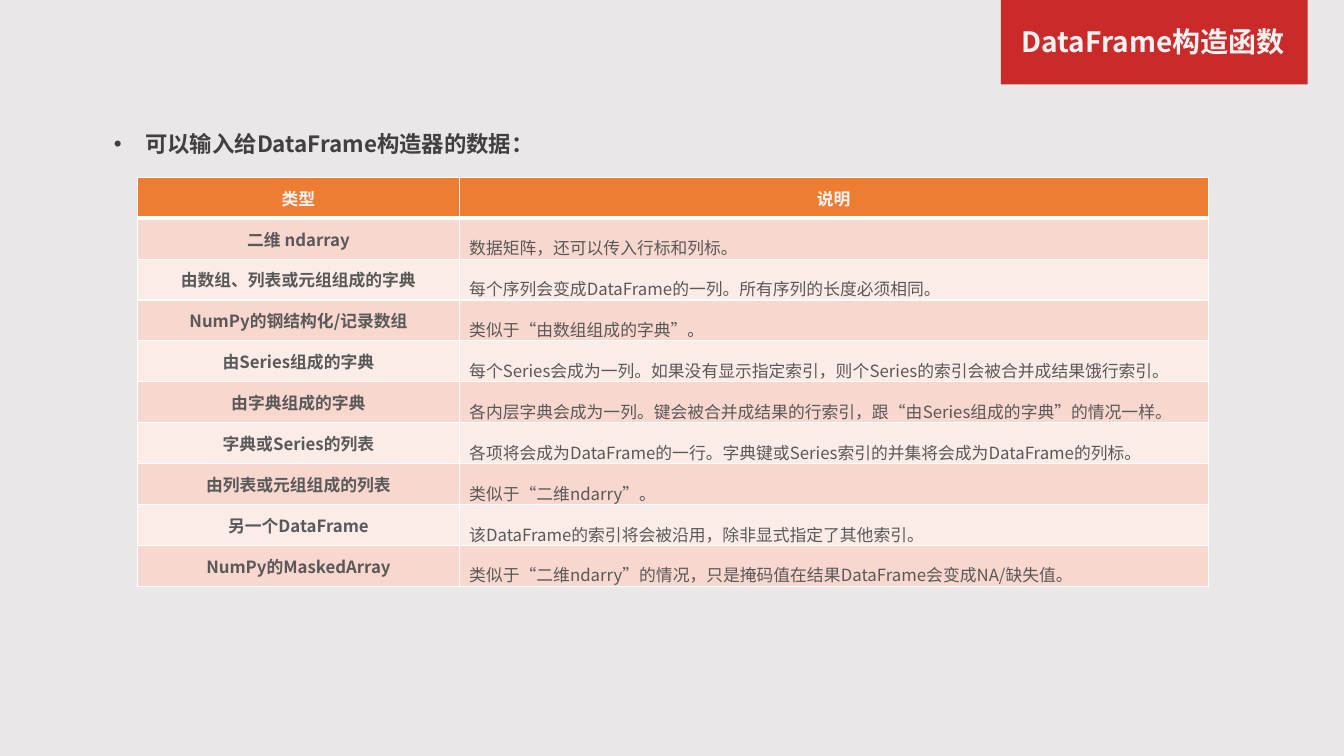
from lxml.etree import SubElement
from pptx import Presentation
from pptx.dml.color import RGBColor
from pptx.enum.shapes import MSO_SHAPE
from pptx.enum.text import MSO_ANCHOR, PP_ALIGN
from pptx.oxml.ns import qn
from pptx.util import Pt

FONT = "Noto Sans CJK SC"


def paint(fill, color):
    fill.solid()
    fill.fore_color.rgb = RGBColor.from_string(color)


def style_text(paragraph, size, color, bold, spacing=None, align=None):
    paragraph.line_spacing = spacing
    paragraph.alignment = align
    font = paragraph.font
    font.size, font.bold, font.name = Pt(size), bold, FONT
    paint(font.fill, color)
    # Chinese characters take their typeface from a:ea
    SubElement(paragraph._p.pPr.find(qn("a:defRPr")), qn("a:ea"), typeface=FONT)


presentation = Presentation()
presentation.slide_width, presentation.slide_height = Pt(960), Pt(540)
slide = presentation.slides.add_slide(presentation.slide_layouts[6])
paint(slide.background.fill, "E9E7E7")

# Title on its red tab
title_tab = slide.shapes.add_shape(MSO_SHAPE.RECTANGLE, Pt(715), Pt(0), Pt(219), Pt(60.3))
title_tab.shadow.inherit = False
paint(title_tab.fill, "CA2A2A")
title_tab.line.fill.background()

title = slide.shapes.add_textbox(Pt(715.7), Pt(16.6), Pt(216), Pt(30.2)).text_frame
title.word_wrap = True
title.text = "DataFrame构造函数"
style_text(title.paragraphs[0], 20, "F2F2F2", True, 0.9, PP_ALIGN.CENTER)

# Bulleted lead-in
lead_in = slide.shapes.add_textbox(Pt(74.2), Pt(79.9), Pt(849), Pt(33.1)).text_frame
lead_in.word_wrap = True
lead_in.text = "可以输入给DataFrame构造器的数据："
lead_line = lead_in.paragraphs[0]
lead_properties = lead_line._p.get_or_add_pPr()
lead_properties.set("marL", str(Pt(22.5)))
lead_properties.set("indent", str(-Pt(22.5)))
SubElement(lead_properties, qn("a:buFont"), typeface="Arial")
SubElement(lead_properties, qn("a:buChar"), char="•")
style_text(lead_line, 16, "404040", True, 1.5)

# Table of accepted inputs
inputs = [
    ("类型", "说明"),
    ("二维 ndarray", "数据矩阵，还可以传入行标和列标。"),
    ("由数组、列表或元组组成的字典", "每个序列会变成DataFrame的一列。所有序列的长度必须相同。"),
    ("NumPy的钢结构化/记录数组", "类似于“由数组组成的字典”。"),
    ("由Series组成的字典",
     "每个Series会成为一列。如果没有显示指定索引，则个Series的索引会被合并成结果饿行索引。"),
    ("由字典组成的字典",
     "各内层字典会成为一列。键会被合并成结果的行索引，跟“由Series组成的字典”的情况一样。"),
    ("字典或Series的列表",
     "各项将会成为DataFrame的一行。字典键或Series索引的并集将会成为DataFrame的列标。"),
    ("由列表或元组组成的列表", "类似于“二维ndarry”。"),
    ("另一个DataFrame", "该DataFrame的索引将会被沿用，除非显式指定了其他索引。"),
    ("NumPy的MaskedArray",
     "类似于“二维ndarry”的情况，只是掩码值在结果DataFrame会变成NA/缺失值。"),
]
ROW_HEIGHT = 29.2
COLUMN_WIDTHS = (229.6, 535)
table = slide.shapes.add_table(
    len(inputs), 2, Pt(98.4), Pt(126.7),
    Pt(sum(COLUMN_WIDTHS)), Pt(ROW_HEIGHT * len(inputs))).table
for column, width in zip(table.columns, COLUMN_WIDTHS):
    column.width = Pt(width)

for row, entry in enumerate(inputs):
    table.rows[row].height = Pt(ROW_HEIGHT)
    header = row == 0
    row_fill = "ED7D31" if header else ("FCECE8", "F8D7CE")[row % 2]
    for column, wording in enumerate(entry):
        cell = table.cell(row, column)
        cell.text = wording
        cell.vertical_anchor = MSO_ANCHOR.MIDDLE
        centred = header or column == 0
        style_text(cell.text_frame.paragraphs[0], 12, "F2F2F2" if header else "595959",
                   centred, None if centred else 1.5,
                   PP_ALIGN.CENTER if centred else PP_ALIGN.LEFT)
        for side in ("lnL", "lnR", "lnT", "lnB"):
            under_header = (row, side) in ((0, "lnB"), (1, "lnT"))
            border = SubElement(cell._tc.get_or_add_tcPr(), qn(f"a:{side}"),
                                w=str(Pt(3 if under_header else 1)))
            SubElement(SubElement(border, qn("a:solidFill")), qn("a:srgbClr"), val="FFFFFF")
        paint(cell.fill, row_fill)

presentation.save("out.pptx")
